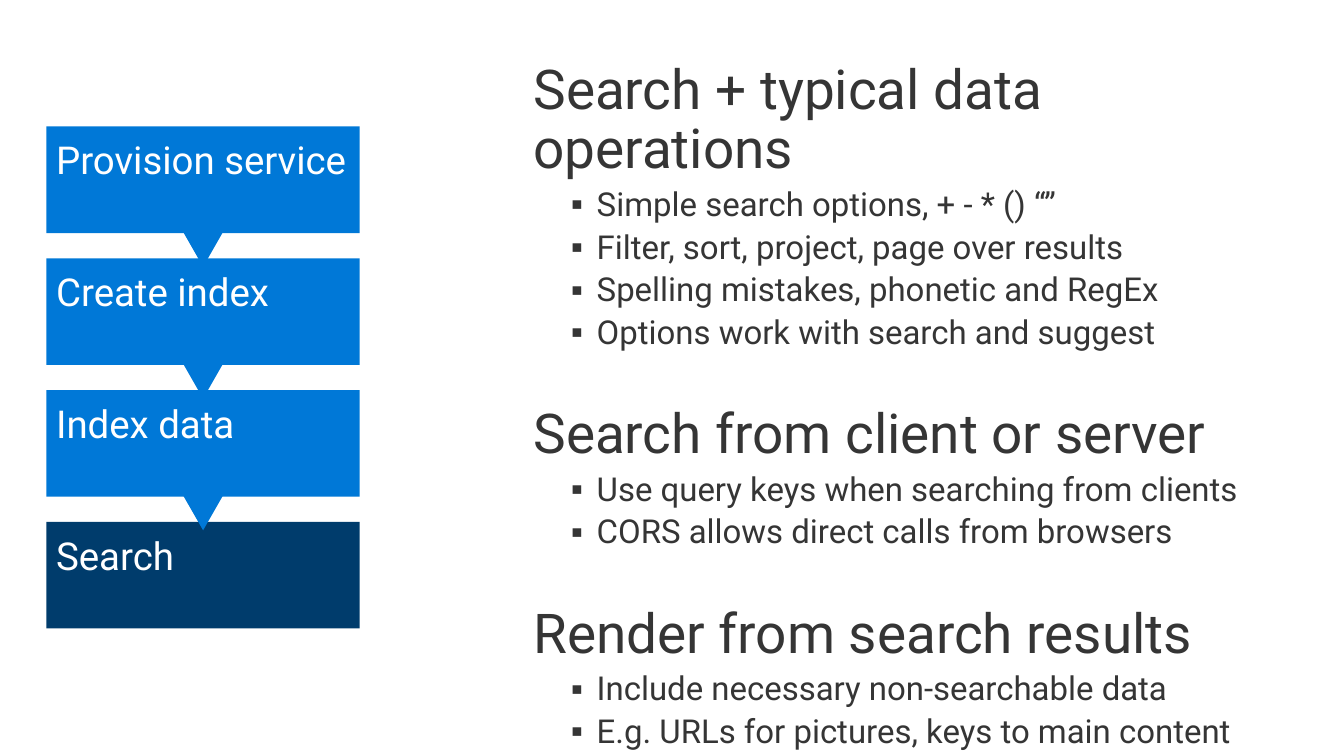
from pptx import Presentation
from pptx.dml.color import RGBColor
from pptx.enum.shapes import MSO_SHAPE as Shape
from pptx.enum.text import MSO_ANCHOR as Anchor, PP_ALIGN as Align
from pptx.oxml.xmlchemy import OxmlElement
from pptx.util import Inches, Pt

FONT = "Roboto"
BLUE = "0078D7"
NAVY = "003C6C"
WHITE = "FFFFFF"
GREY = "353535"

STEPS = ["Provision service", "Create index", "Index data", "Search"]
TOPICS = [
    ("Search + typical data operations", [
        "Simple search options, + - * () “”",
        "Filter, sort, project, page over results",
        "Spelling mistakes, phonetic and RegEx",
        "Options work with search and suggest",
    ]),
    ("Search from client or server", [
        "Use query keys when searching from clients",
        "CORS allows direct calls from browsers",
    ]),
    ("Render from search results", [
        "Include necessary non-searchable data",
        "E.g. URLs for pictures, keys to main content",
    ]),
]

STEP_LEFT, STEP_TOP = 0.47, 1.28
STEP_WIDTH, STEP_HEIGHT = 3.17, 1.08
STEP_PITCH = 4 / 3
POINTER_WIDTH, POINTER_HEIGHT = 0.48, 0.42
POINTER_OVERLAP = 0.08


def color(hex_code):
    """Turn a hex string into a colour."""
    return RGBColor.from_string(hex_code)


def write(paragraph, text, size, ink, line_spacing=1.0, before=0):
    """Write left-aligned text into a paragraph."""
    paragraph.alignment = Align.LEFT
    paragraph.line_spacing = line_spacing
    paragraph.space_before = Pt(before)
    run = paragraph.add_run()
    run.text = text
    run.font.name = FONT
    run.font.size = Pt(size)
    run.font.color.rgb = color(ink)


def add_bullet(paragraph):
    """Give a paragraph a hanging square bullet."""
    paragraph.level = 1
    properties = paragraph._p.get_or_add_pPr()
    properties.set("marL", str(Inches(0.64)))
    properties.set("indent", str(Inches(-0.26)))
    for tag, name, value in (("a:buSzPct", "val", "90000"),
                             ("a:buFont", "typeface", FONT),
                             ("a:buChar", "char", "▪")):
        element = OxmlElement(tag)
        element.set(name, value)
        properties.append(element)


def add_block(slide, preset, left, top, width, height, fill):
    """Add a plain filled shape."""
    block = slide.shapes.add_shape(
        preset, Inches(left), Inches(top), Inches(width), Inches(height))
    block.shadow.inherit = False
    block.fill.solid()
    block.fill.fore_color.rgb = color(fill)
    block.line.fill.background()
    return block


def add_step(slide, label, top, fill):
    """Add one labelled step of the process."""
    step = add_block(slide, Shape.RECTANGLE, STEP_LEFT, top,
                     STEP_WIDTH, STEP_HEIGHT, fill)
    frame = step.text_frame
    frame.word_wrap = True
    frame.vertical_anchor = Anchor.TOP
    frame.margin_left = frame.margin_top = Inches(0.1)
    frame.margin_right = frame.margin_bottom = Inches(0.04)
    write(frame.paragraphs[0], label, size=28, ink=WHITE)


def add_pointer(slide, step_top):
    """Add the triangle that leads from a step down to the next."""
    left = STEP_LEFT + (STEP_WIDTH - POINTER_WIDTH) / 2
    top = step_top + STEP_HEIGHT - POINTER_OVERLAP
    pointer = add_block(slide, Shape.ISOSCELES_TRIANGLE, left, top,
                        POINTER_WIDTH, POINTER_HEIGHT, BLUE)
    pointer.rotation = 180


def add_process(slide):
    """Add the column of steps, the last one highlighted."""
    tops = [STEP_TOP + i * STEP_PITCH for i in range(len(STEPS))]
    for label, top in zip(STEPS, tops):
        add_step(slide, label, top, NAVY if label == STEPS[-1] else BLUE)
    for top in tops[:-1]:
        add_pointer(slide, top)


def add_topics(slide):
    """Add the headings with their bulleted details."""
    topics = slide.shapes.add_textbox(
        Inches(5.3), Inches(0.58), Inches(8), Inches(6.5))
    frame = topics.text_frame
    frame.word_wrap = True
    for i, (heading, details) in enumerate(TOPICS):
        paragraph = frame.add_paragraph() if i else frame.paragraphs[0]
        write(paragraph, heading, size=40, ink=GREY,
              line_spacing=0.9, before=40 if i else 0)
        for detail in details:
            paragraph = frame.add_paragraph()
            write(paragraph, detail, size=24, ink=GREY,
                  line_spacing=0.9, before=5.2)
            add_bullet(paragraph)


def main():
    """Build the slide and save it."""
    deck = Presentation()
    deck.slide_width = Inches(13.6)
    deck.slide_height = Inches(7.65)
    slide = deck.slides.add_slide(deck.slide_layouts[6])
    add_process(slide)
    add_topics(slide)
    deck.save("out.pptx")


if __name__ == "__main__":
    main()
